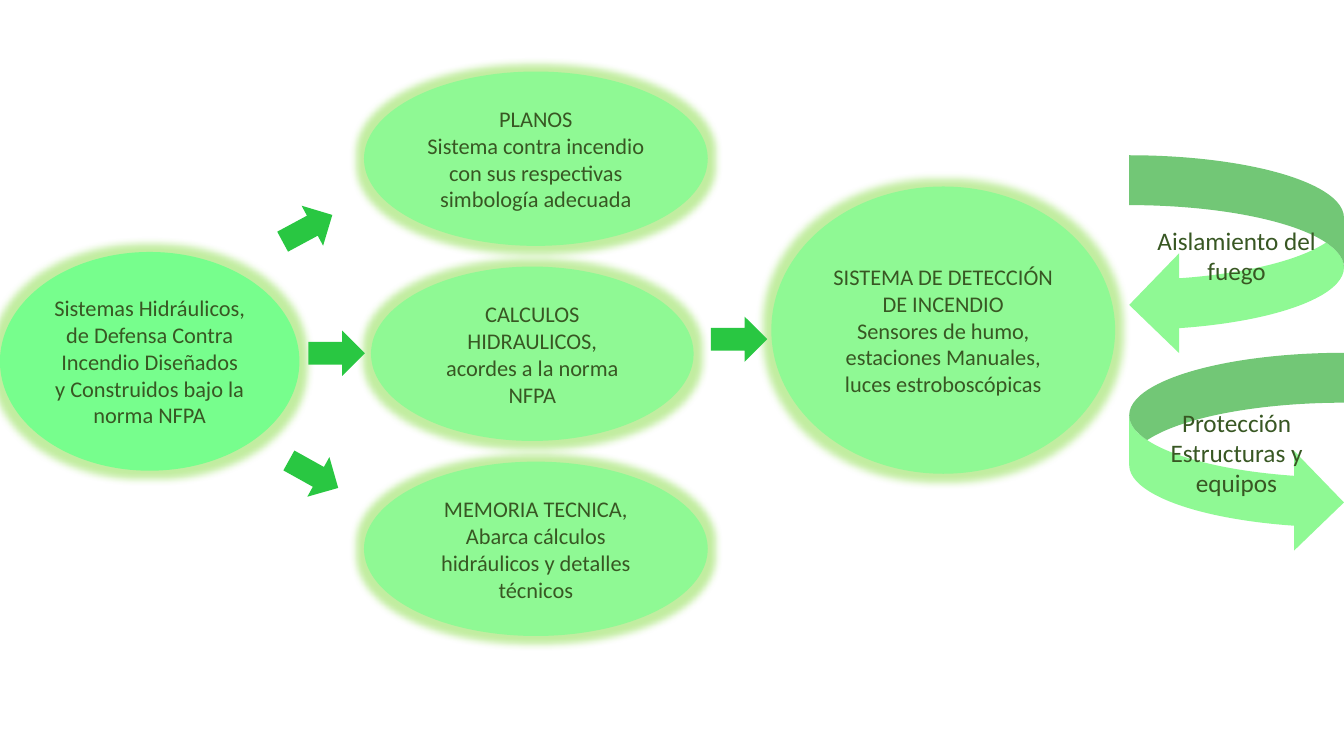
from lxml import etree
from pptx import Presentation
from pptx.dml.color import RGBColor
from pptx.enum.shapes import MSO_SHAPE as Kind
from pptx.enum.text import MSO_ANCHOR as Anchor, PP_ALIGN as Align
from pptx.oxml.ns import qn
from pptx.util import Inches, Pt

DARK, MINT, LIME, ARROW, HALO = "385723", "8FF994", "77FE8D", "29C742", "66D212"

deck = Presentation()
deck.slide_width, deck.slide_height = Inches(13.33), Inches(7.5)
slide = deck.slides.add_slide(deck.slide_layouts[6])


def draw(kind, box, fill, lines=(), size=16):
    """Add a borderless shape with one centred paragraph for each line."""
    shape = slide.shapes.add_shape(kind, *map(Inches, box))
    shape.shadow.inherit = False
    shape.fill.solid()
    shape.fill.fore_color.rgb = RGBColor.from_string(fill)
    shape.line.fill.background()
    frame = shape.text_frame
    frame.word_wrap, frame.vertical_anchor = True, Anchor.MIDDLE
    for i, line in enumerate(lines):
        para = frame.add_paragraph() if i else frame.paragraphs[0]
        para.alignment = Align.CENTER
        run = para.add_run()
        run.text = line
        look = {"name": "Calibri", "size": Pt(size)}
        for key, value in look.items():
            setattr(run.font, key, value)
        run.font.color.rgb = RGBColor.from_string(DARK)
    return shape


def glow(shape):
    effects = shape._element.spPr.find(qn("a:effectLst"))
    halo = etree.SubElement(effects, qn("a:glow"), rad=str(Pt(11)))
    color = etree.SubElement(halo, qn("a:srgbClr"), val=HALO)
    etree.SubElement(color, qn("a:alpha"), val="40000")


# Outcomes at the right edge
curves = [
    (Kind.CURVED_LEFT_ARROW, "Aislamiento del fuego"),
    (Kind.CURVED_RIGHT_ARROW, "Protección Estructuras y equipos"),
]
for row, (kind, text) in enumerate(curves):
    draw(kind, (11.2, 1.54 + 1.96 * row, 2.13, 1.98), MINT, [text], 18)

# Start, three documents in a column, detection system
start = ["Sistemas Hidráulicos, de Defensa Contra Incendio Diseñados "
         "y Construidos bajo la norma NFPA"]
glow(draw(Kind.OVAL, (0, 2.5, 2.97, 2.17), LIME, start))

papers = [
    (3.61, 3.41, ["PLANOS",
                  "Sistema contra incendio con sus respectivas simbología adecuada"]),
    (3.68, 3.2, ["CALCULOS HIDRAULICOS,", "acordes a la norma NFPA"]),
    (3.61, 3.41, ["MEMORIA TECNICA, Abarca cálculos hidráulicos y detalles técnicos"]),
]
for row, (left, width, lines) in enumerate(papers):
    glow(draw(Kind.OVAL, (left, 0.71 + 1.935 * row, width, 1.73), MINT, lines))

alarm = ["SISTEMA DE DETECCIÓN DE INCENDIO",
         "Sensores de humo, estaciones Manuales, luces estroboscópicas"]
glow(draw(Kind.OVAL, (7.65, 1.85, 3.41, 2.85), MINT, alarm))

# Arrows between the stages
for left, top, turn in [(2.77, 2.04, 331.7), (3.06, 3.28, 0),
                        (2.83, 4.48, 29.1), (7.05, 3.14, 0)]:
    draw(Kind.RIGHT_ARROW, (left, top, 0.56, 0.45), ARROW).rotation = turn

deck.save("out.pptx")
